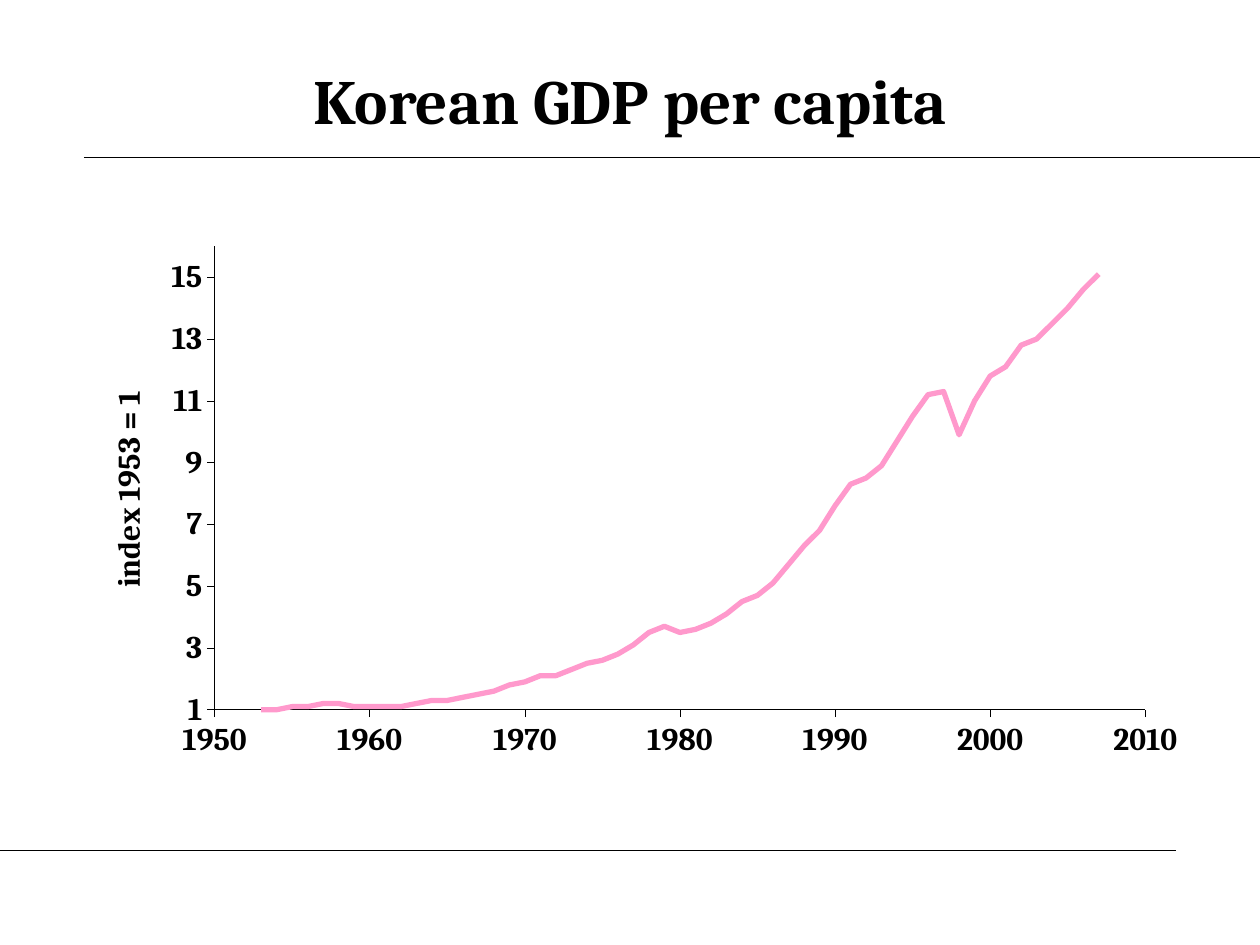
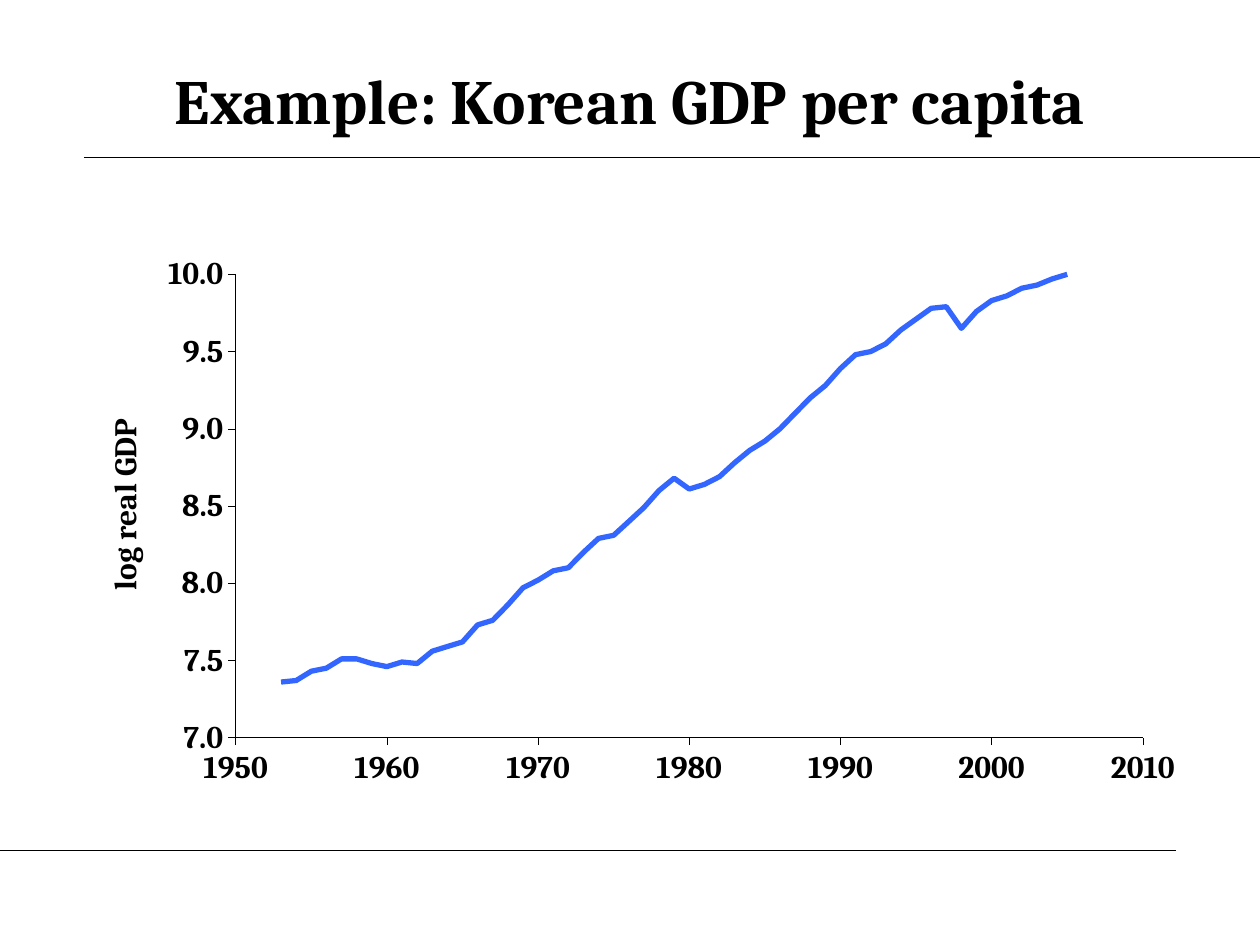
from dataclasses import dataclass

from lxml import etree
from pptx import Presentation
from pptx.chart.data import XyChartData
from pptx.dml.color import RGBColor
from pptx.enum.chart import XL_CHART_TYPE, XL_MARKER_STYLE, XL_TICK_LABEL_POSITION, XL_TICK_MARK
from pptx.enum.shapes import MSO_CONNECTOR
from pptx.enum.text import MSO_ANCHOR, PP_ALIGN
from pptx.oxml.ns import qn
from pptx.util import Pt

SCATTER = XL_CHART_TYPE.XY_SCATTER_LINES_NO_MARKERS
NO_MARKER = XL_MARKER_STYLE.NONE
LABELS_LOW = XL_TICK_LABEL_POSITION.LOW
TICK_OUTSIDE = XL_TICK_MARK.OUTSIDE
TICK_NONE = XL_TICK_MARK.NONE
STRAIGHT = MSO_CONNECTOR.STRAIGHT
MIDDLE = MSO_ANCHOR.MIDDLE
CENTER = PP_ALIGN.CENTER

TITLE_ONLY = 5
FIRST_YEAR = 1953
CHART_SIZE = (640, 348)


@dataclass(frozen=True)
class Theme:
    ink: RGBColor = RGBColor(0, 0, 0)
    paper: RGBColor = RGBColor(255, 255, 255)
    pink: RGBColor = RGBColor(0xFF, 0x99, 0xCC)
    blue: RGBColor = RGBColor(0x33, 0x66, 0xFF)
    text_font: str = "Cambria"
    chart_font: str = "Arial"
    title_size: float = 36
    axis_size: float = 18
    chart_size: float = 10
    rule_width: float = 0.75
    axis_width: float = 0.25
    series_width: float = 3


@dataclass(frozen=True)
class Scale:
    low: float
    high: float
    step: float
    digits: str


INDEX_VALUES = [
    1, 1, 1.1, 1.1, 1.2, 1.2, 1.1, 1.1, 1.1, 1.1, 1.2,
    1.3, 1.3, 1.4, 1.5, 1.6, 1.8, 1.9, 2.1, 2.1, 2.3, 2.5,
    2.6, 2.8, 3.1, 3.5, 3.7, 3.5, 3.6, 3.8, 4.1, 4.5, 4.7,
    5.1, 5.7, 6.3, 6.8, 7.6, 8.3, 8.5, 8.9, 9.7, 10.5, 11.2,
    11.3, 9.9, 11, 11.8, 12.1, 12.8, 13, 13.5, 14, 14.6, 15.1,
]
LOG_VALUES = [
    7.36, 7.37, 7.43, 7.45, 7.51, 7.51, 7.48, 7.46, 7.49, 7.48, 7.56,
    7.59, 7.62, 7.73, 7.76, 7.86, 7.97, 8.02, 8.08, 8.1, 8.2, 8.29,
    8.31, 8.4, 8.49, 8.6, 8.68, 8.61, 8.64, 8.69, 8.78, 8.86, 8.92,
    9, 9.1, 9.2, 9.28, 9.39, 9.48, 9.5, 9.55, 9.64, 9.71, 9.78,
    9.79, 9.65, 9.76, 9.83, 9.86, 9.91, 9.93, 9.97, 10, 10.04, 10.08,
]
YEAR_SCALE = Scale(1950, 2010, 10, "0")


class Slides:
    def __init__(self, theme):
        self.theme = theme
        self.deck = Presentation()
        self.deck.slide_width, self.deck.slide_height = Pt(720), Pt(540)
        self.page = None

    def add_page(self, title):
        self.page = self.deck.slides.add_slide(self.deck.slide_layouts[TITLE_ONLY])
        self.page.background.fill.solid()
        self.page.background.fill.fore_color.rgb = self.theme.paper
        self.add_title(title)
        self.add_rule(48, 720, 90)
        self.add_rule(0, 672, 486)

    def add_title(self, text):
        box = self.page.shapes.title
        box.left, box.top, box.width, box.height = Pt(36), Pt(24), Pt(648), Pt(66)
        frame = box.text_frame
        frame.text = text
        frame.vertical_anchor = MIDDLE
        para = frame.paragraphs[0]
        para.alignment = CENTER
        self.style_font(para.runs[0].font, self.theme.title_size)

    def add_rule(self, start, end, y):
        rule = self.page.shapes.add_connector(STRAIGHT, Pt(start), Pt(y), Pt(end), Pt(y))
        rule.line.color.rgb = self.theme.ink
        rule.line.width = Pt(self.theme.rule_width)
        properties = rule.element.find(qn("p:spPr"))
        etree.SubElement(properties, qn("a:effectLst"))

    def add_line_chart(self, left, top, values, color, value_title, value_scale, plot):
        data = XyChartData()
        series_data = data.add_series("Series 1")
        for year, value in enumerate(values, FIRST_YEAR):
            series_data.add_data_point(year, value)
        width, height = CHART_SIZE
        chart = self.page.shapes.add_chart(
            SCATTER, Pt(left), Pt(top), Pt(width), Pt(height), data
        ).chart
        chart.has_legend = False
        chart.has_title = False
        self.style_font(chart.font, self.theme.chart_size, self.theme.chart_font)
        chart.plots[0].vary_by_categories = False

        series = chart.plots[0].series[0]
        series.smooth = False
        series.marker.style = NO_MARKER
        series.format.line.color.rgb = color
        series.format.line.width = Pt(self.theme.series_width)

        self.style_axis(chart.category_axis, YEAR_SCALE)
        self.style_axis(chart.value_axis, value_scale)
        self.add_axis_title(chart.value_axis, value_title)
        plot_area = chart.element.find(".//" + qn("c:plotArea"))
        self.set_layout(plot_area, 0, plot)

    def style_axis(self, axis, scale):
        axis.minimum_scale, axis.maximum_scale = scale.low, scale.high
        axis.major_unit = scale.step
        axis.has_major_gridlines = False
        axis.major_tick_mark = TICK_OUTSIDE
        axis.minor_tick_mark = TICK_NONE
        axis.tick_label_position = LABELS_LOW
        axis.tick_labels.number_format = scale.digits
        axis.tick_labels.number_format_is_linked = False
        self.style_font(axis.tick_labels.font, self.theme.axis_size)
        axis.format.line.color.rgb = self.theme.ink
        axis.format.line.width = Pt(self.theme.axis_width)

    def add_axis_title(self, axis, text):
        title = axis.axis_title
        title.text_frame.text = text
        self.style_font(title.text_frame.paragraphs[0].runs[0].font, self.theme.axis_size)
        body = title.element.find(".//" + qn("a:bodyPr"))
        body.set("rot", "-5400000")
        body.set("vert", "horz")
        self.set_layout(title.element, 1, {"x": 0.025, "y": 0.305})

    def set_layout(self, parent, position, bounds):
        for previous in parent.findall(qn("c:layout")):
            parent.remove(previous)
        layout = etree.Element(qn("c:layout"))
        manual = etree.SubElement(layout, qn("c:manualLayout"))
        settings = {"xMode": "edge", "yMode": "edge", **bounds}
        if "w" in bounds:
            settings = {"layoutTarget": "inner", **settings}
        for name, value in settings.items():
            etree.SubElement(manual, qn("c:" + name)).set("val", str(value))
        parent.insert(position, layout)

    def style_font(self, font, size, name=None):
        font.name = name or self.theme.text_font
        font.size = Pt(size)
        font.bold = True
        font.color.rgb = self.theme.ink


def main():
    theme = Theme()
    slides = Slides(theme)

    slides.add_page("Korean GDP per capita")
    slides.add_line_chart(
        42, 114, INDEX_VALUES, theme.pink, "index 1953 = 1", Scale(1, 16, 2, "0"),
        {"x": 0.126, "y": 0.077, "w": 0.831, "h": 0.761},
    )

    slides.add_page("Example: Korean GDP per capita")
    slides.add_line_chart(
        40, 130, LOG_VALUES, theme.blue, "log real GDP", Scale(7, 10, 0.5, "0.0"),
        {"x": 0.148, "y": 0.077, "w": 0.81, "h": 0.761},
    )

    slides.deck.save("out.pptx")


if __name__ == "__main__":
    main()
